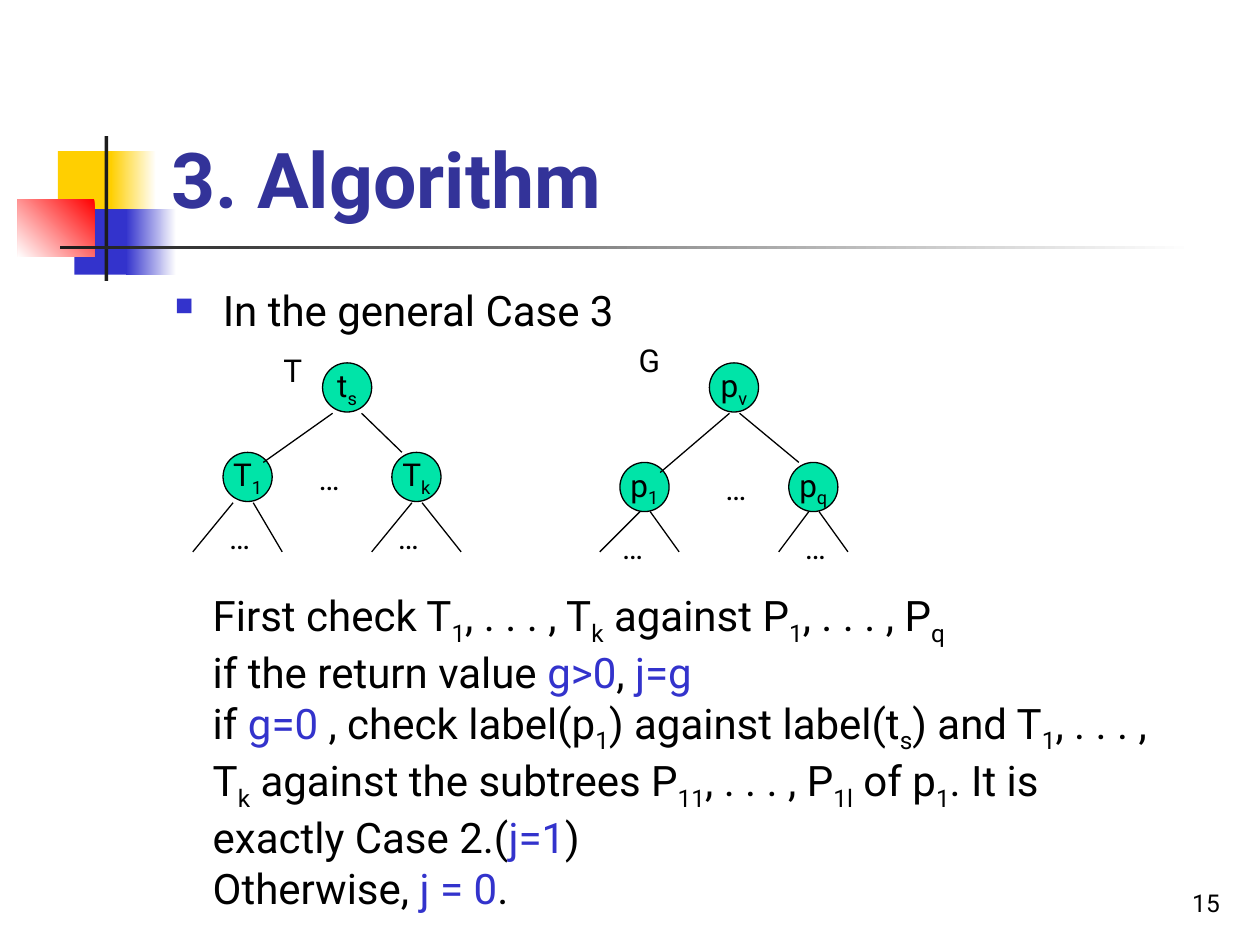
import pptx
import pptx.util
import pptx.dml.color
import pptx.enum.shapes
import pptx.enum.text
import pptx.oxml
import pptx.oxml.ns
from pptx.util import Inches

FONT = "Roboto"
BLACK, BLUE, NAVY, GREEN = "000000", "3333CC", "333399", "00E4A8"
WHITE, YELLOW, RED, CHARCOAL = "FFFFFF", "FFCF01", "FF0000", "1C1C1C"
NODE_SIZE = 0.39
ALIGN = pptx.enum.text.PP_ALIGN
ANCHOR = pptx.enum.text.MSO_ANCHOR
AUTO_SIZE = pptx.enum.text.MSO_AUTO_SIZE
SHAPE = pptx.enum.shapes.MSO_SHAPE

# Each tree: label, nodes, edges and ellipses, placed relative to its own corner
TREE_T = {
    "label": ("T", 0.62, 0, 0.34),
    "nodes": [("t|_s", 1.03, 0.14), ("T|_1", 0.24, 0.85), ("T|_k", 1.58, 0.85)],
    "edges": [(1.11, 0.54, 0.56, 0.93), (1.34, 0.54, 1.66, 0.85),
              (0.32, 1.25, 0, 1.64), (0.48, 1.25, 0.71, 1.64),
              (1.74, 1.25, 1.42, 1.64), (1.82, 1.25, 2.13, 1.64)],
    "ellipses": [(0.9, 0.85), (0.19, 1.32), (1.53, 1.32)],
}
TREE_G = {
    "label": ("G", 0.21, 0, 0.38),
    "nodes": [("p|_v", 0.87, 0.22), ("p|_1", 0.16, 1.01), ("p|_q", 1.5, 1.01)],
    "edges": [(1.03, 0.62, 0.48, 1.09), (1.11, 0.62, 1.58, 1.01),
              (0.32, 1.4, 0, 1.72), (0.4, 1.4, 0.63, 1.72),
              (1.66, 1.4, 1.42, 1.72), (1.74, 1.4, 1.97, 1.72)],
    "ellipses": [(0.9, 1.01), (0.08, 1.48), (1.53, 1.48)],
}

# "|" separates runs, "_" starts a subscript, "*" starts a highlighted run
STEPS = [
    "First check T|_1|, . . . , T|_k| against P|_1|, . . . , P|_q",
    "if the return value |*g>0|,|* j=g",
    "if |*g=0| , check label(p|_1|) against label(t|_s|) and T|_1|, . . . , T|_k"
    "| against the subtrees P|_11|, . . . , P|_1l| of p|_1"
    "|. It is exactly Case 2.(|*j=1|)",
    "Otherwise, |*j = 0|.",
]


def color(hex_string):
    return pptx.dml.color.RGBColor.from_string(hex_string)


def style_font(font, size, hex_string=BLACK, bold=False):
    font.name = FONT
    font.size = pptx.util.Pt(size)
    font.bold = bold
    font.color.rgb = color(hex_string)


def write_marked(paragraph, marked, size):
    for piece in marked.split("|"):
        run = paragraph.add_run()
        run.text = piece.lstrip("_*")
        style_font(run.font, size, BLUE if piece.startswith("*") else BLACK)
        if piece.startswith("_"):
            run.font._element.set("baseline", "-25000")


def add_text(shapes, lines, left, top, width, height, size, wrap=True):
    box = shapes.add_textbox(Inches(left), Inches(top), Inches(width), Inches(height))
    frame = box.text_frame
    frame.word_wrap = wrap
    frame.auto_size = AUTO_SIZE.SHAPE_TO_FIT_TEXT
    for index, line in enumerate(lines):
        paragraph = frame.add_paragraph() if index else frame.paragraphs[0]
        write_marked(paragraph, line, size)
    return frame


def add_ornament(shapes, left, top):
    # x, y, width, height, colour, end colour, gradient angle
    blocks = [
        (0.32, 0.12, 0.48, 0.52, YELLOW, None, 0),
        (0.74, 0.12, 0.36, 0.52, WHITE, YELLOW, 180),
        (0.45, 0.58, 0.46, 0.52, BLUE, None, 0),
        (0.86, 0.58, 0.4, 0.52, WHITE, BLUE, 180),
        (0, 0.5, 0.61, 0.46, RED, WHITE, 225),
        (0.69, 0, 0.03, 1.15, CHARCOAL, None, 0),
        (0.34, 0.87, 9, 0.03, WHITE, CHARCOAL, 180),
    ]
    for x, y, width, height, start, end, angle in blocks:
        block = shapes.add_shape(SHAPE.RECTANGLE, Inches(left + x), Inches(top + y),
                                 Inches(width), Inches(height))
        block.shadow.inherit = False
        block.line.fill.background()
        if end is None:
            block.fill.solid()
            block.fill.fore_color.rgb = color(start)
        else:
            block.fill.gradient()
            block.fill.gradient_angle = angle
            for stop, hex_string in zip(block.fill.gradient_stops, (start, end)):
                stop.color.rgb = color(hex_string)


def add_title(slide, left, top, width, height):
    title = slide.shapes.title
    title.left, title.top = Inches(left), Inches(top)
    title.width, title.height = Inches(width), Inches(height)
    frame = title.text_frame
    frame.text = "3. Algorithm"
    frame.vertical_anchor = ANCHOR.BOTTOM
    frame.auto_size = AUTO_SIZE.NONE
    frame.paragraphs[0].alignment = ALIGN.LEFT
    style_font(frame.paragraphs[0].runs[0].font, 44, NAVY, bold=True)


def add_bullet(shapes, left, top, width, height):
    frame = add_text(shapes, ["In the general Case 3"], left, top, width, height, 24)
    frame.auto_size = AUTO_SIZE.NONE
    properties = frame.paragraphs[0]._p.get_or_add_pPr()
    properties.set("marL", str(Inches(0.38)))
    properties.set("indent", str(Inches(-0.38)))
    namespace = pptx.oxml.ns.nsdecls("a")
    for element in (f'<a:buClr {namespace}><a:srgbClr val="{BLUE}"/></a:buClr>',
                    f'<a:buSzPct {namespace} val="60000"/>',
                    f'<a:buChar {namespace} char="■"/>'):
        properties.append(pptx.oxml.parse_xml(element))


def add_node(shapes, marked, left, top):
    node = shapes.add_shape(SHAPE.OVAL, Inches(left), Inches(top),
                            Inches(NODE_SIZE), Inches(NODE_SIZE))
    node.shadow.inherit = False
    node.fill.solid()
    node.fill.fore_color.rgb = color(GREEN)
    node.line.color.rgb = color(BLACK)
    node.line.width = pptx.util.Pt(0.75)
    frame = node.text_frame
    frame.word_wrap = False
    frame.vertical_anchor = ANCHOR.MIDDLE
    frame.paragraphs[0].alignment = ALIGN.CENTER
    write_marked(frame.paragraphs[0], marked, 18)


def add_edge(shapes, x1, y1, x2, y2):
    edge = shapes.add_connector(pptx.enum.shapes.MSO_CONNECTOR.STRAIGHT,
                                Inches(x1), Inches(y1), Inches(x2), Inches(y2))
    edge.line.color.rgb = color(BLACK)
    edge.line.width = pptx.util.Pt(0.75)
    edge._element.spPr.append(pptx.oxml.parse_xml(
        f'<a:effectLst {pptx.oxml.ns.nsdecls("a")}/>'))


def add_tree(slide, tree, left, top):
    shapes = slide.shapes.add_group_shape().shapes
    label, x, y, width = tree["label"]
    add_text(shapes, [label], left + x, top + y, width, 0.4, 18, wrap=False)
    for marked, x, y in tree["nodes"]:
        add_node(shapes, marked, left + x, top + y)
    for x1, y1, x2, y2 in tree["edges"]:
        add_edge(shapes, left + x1, top + y1, left + x2, top + y2)
    for x, y in tree["ellipses"]:
        add_text(shapes, ["…"], left + x, top + y, 0.4, 0.4, 18, wrap=False)


def add_page_number(shapes, left, top, width, height):
    frame = add_text(shapes, ["15"], left, top, width, height, 14)
    frame.auto_size = AUTO_SIZE.NONE
    frame.vertical_anchor = ANCHOR.BOTTOM
    frame.paragraphs[0].alignment = ALIGN.RIGHT


def main():
    presentation = pptx.Presentation()
    presentation.slide_width, presentation.slide_height = Inches(10), Inches(7.5)
    slide = presentation.slides.add_slide(presentation.slide_layouts[5])

    # Heading
    add_ornament(slide.shapes, 0.14, 1.08)
    add_title(slide, 1.26, 0.23, 8.52, 1.6)

    # Case and its two trees
    add_bullet(slide.shapes, 1.29, 2.21, 8.5, 0.5)
    add_tree(slide, TREE_T, 1.53, 2.74)
    add_tree(slide, TREE_G, 4.76, 2.66)

    # Steps of the algorithm and page number
    add_text(slide.shapes, STEPS, 1.59, 4.63, 7.74, 2.67, 24)
    add_page_number(slide.shapes, 7.7, 6.83, 2.08, 0.5)
    presentation.save("out.pptx")


if __name__ == "__main__":
    main()
